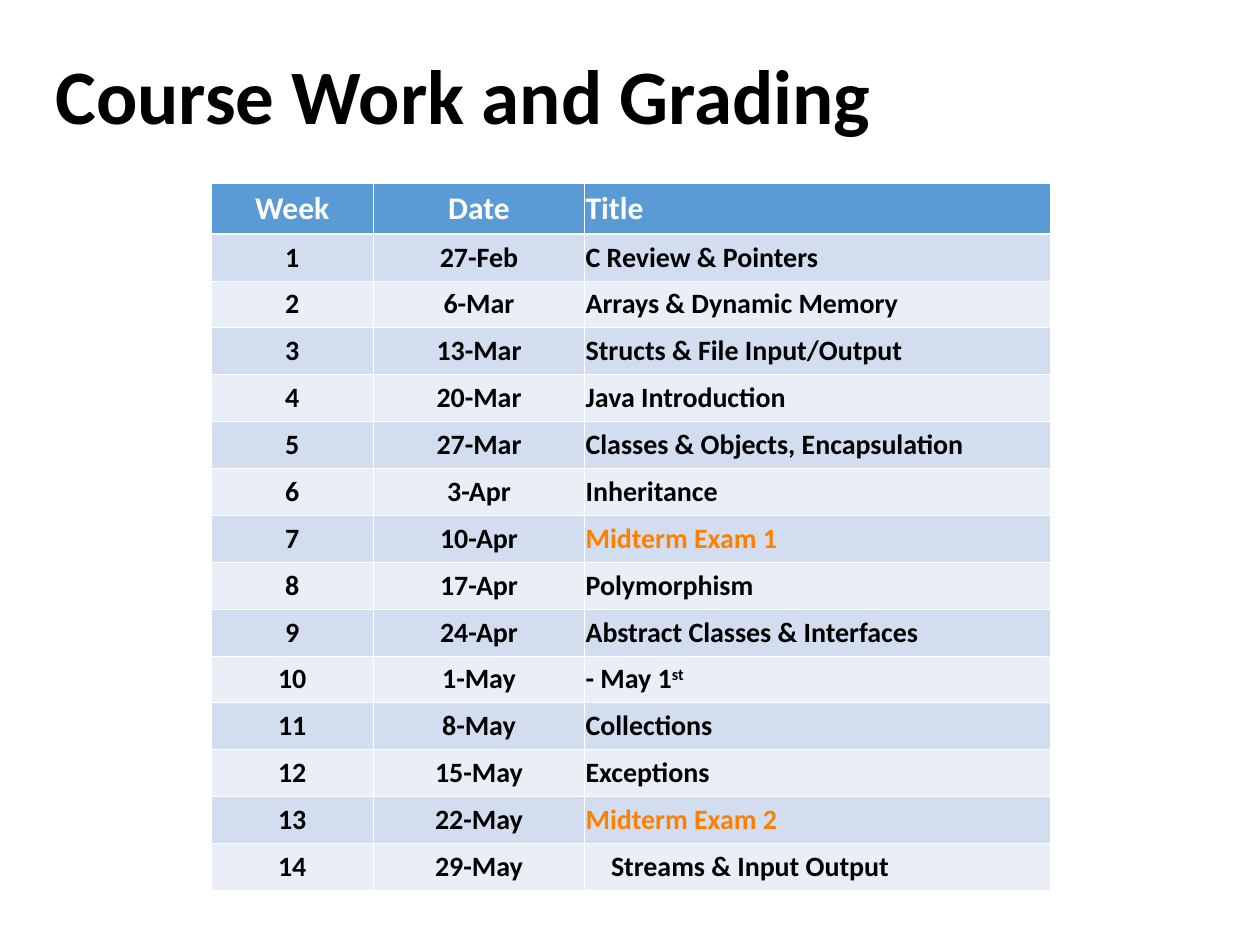
"""Builds the course schedule slide."""
from pptx import Presentation
from pptx.dml.color import RGBColor
from pptx.enum.text import MSO_ANCHOR, MSO_AUTO_SIZE, PP_ALIGN
from pptx.oxml.ns import qn
from pptx.util import Pt
from lxml import etree

LEFT, CENTER = PP_ALIGN.LEFT, PP_ALIGN.CENTER
MIDDLE, BOTTOM = MSO_ANCHOR.MIDDLE, MSO_ANCHOR.BOTTOM
NO_FIT = MSO_AUTO_SIZE.NONE

BLACK = RGBColor(0x00, 0x00, 0x00)
WHITE = RGBColor(0xFF, 0xFF, 0xFF)
ORANGE = RGBColor(0xFF, 0x80, 0x00)
HEADER = RGBColor(0x5B, 0x9B, 0xD5)
BANDS = (RGBColor(0xEA, 0xEF, 0xF7), RGBColor(0xD2, 0xDE, 0xEF))

COLUMNS = ("Week", "Date", "Title")
WIDTHS = (93, 120.5, 266.5)
HEADER_HEIGHT, ROW_HEIGHT = 24, 26.8
THIN, THICK = 0.45, 1.47
INDENT = 14.5

SCHEDULE = (
    ("27-Feb", "C Review & Pointers"),
    ("6-Mar", "Arrays & Dynamic Memory"),
    ("13-Mar", "Structs & File Input/Output"),
    ("20-Mar", "Java Introduction"),
    ("27-Mar", "Classes & Objects, Encapsulation"),
    ("3-Apr", "Inheritance"),
    ("10-Apr", "Midterm Exam 1"),
    ("17-Apr", "Polymorphism"),
    ("24-Apr", "Abstract Classes & Interfaces"),
    ("1-May", "- May 1^st"),
    ("8-May", "Collections"),
    ("15-May", "Exceptions"),
    ("22-May", "Midterm Exam 2"),
    ("29-May", "Streams & Input Output"),
)


class Deck:
    """Holds the text style and the current slide."""

    def __init__(self, slide, font="Calibri"):
        self.slide = slide
        self.font = font

    def run(self, p, text, size, color, superscript=False):
        r = p.add_run()
        r.text = text
        r.font.name = self.font
        r.font.size = Pt(size)
        r.font.bold = True
        r.font.color.rgb = color
        if superscript:
            r._r.get_or_add_rPr().set("baseline", "30000")

    def title(self, text, left, top, width, height):
        sp = self.slide.shapes.title
        sp.left, sp.top, sp.width, sp.height = map(Pt, (left, top, width, height))
        tf = sp.text_frame
        tf.auto_size = NO_FIT
        tf.vertical_anchor = MIDDLE
        p = tf.paragraphs[0]
        p.alignment = LEFT
        p.line_spacing = 0.9
        self.run(p, text, 44, BLACK)

    def borders(self, cell, top, bottom):
        tc_pr = cell._tc.get_or_add_tcPr()
        for side, width in (("L", THIN), ("R", THIN), ("T", top), ("B", bottom)):
            ln = etree.SubElement(tc_pr, qn(f"a:ln{side}"), w=str(Pt(width)))
            fill = etree.SubElement(ln, qn("a:solidFill"))
            etree.SubElement(fill, qn("a:srgbClr"), val=str(WHITE))

    def cell(self, cell, text, size, color, fill, align, anchor, indent=0):
        cell.margin_left, cell.margin_right = Pt(0.72 + indent), Pt(0.72)
        cell.margin_top = cell.margin_bottom = Pt(3.6)
        cell.vertical_anchor = anchor
        cell.fill.solid()
        cell.fill.fore_color.rgb = fill
        p = cell.text_frame.paragraphs[0]
        p.alignment = align
        base, _, suffix = text.partition("^")
        self.run(p, base, size, color)
        if suffix:
            self.run(p, suffix, size, color, superscript=True)

    def schedule(self, left, top):
        rows = [COLUMNS] + [(str(week), *row) for week, row in enumerate(SCHEDULE, 1)]
        heights = [HEADER_HEIGHT] + [ROW_HEIGHT] * len(SCHEDULE)
        table = self.slide.shapes.add_table(
            len(rows), len(COLUMNS), Pt(left), Pt(top), Pt(sum(WIDTHS)), Pt(sum(heights))
        ).table
        for column, width in zip(table.columns, WIDTHS):
            column.width = Pt(width)
        for i, (row, height) in enumerate(zip(rows, heights)):
            table.rows[i].height = Pt(height)
            for j, text in enumerate(row):
                cell = table.cell(i, j)
                align = LEFT if j == 2 else CENTER
                self.borders(cell, THICK if i == 1 else THIN, THICK if i == 0 else THIN)
                if i == 0:
                    self.cell(cell, text, 18, WHITE, HEADER, align, BOTTOM)
                    continue
                color = ORANGE if text.startswith("Midterm") else BLACK
                indent = INDENT if text.startswith("Streams") else 0
                self.cell(cell, text, 16, color, BANDS[i % 2], align, MIDDLE, indent)


def main():
    prs = Presentation()
    prs.slide_width, prs.slide_height = Pt(720), Pt(540)
    deck = Deck(prs.slides.add_slide(prs.slide_layouts[5]))
    deck.title("Course Work and Grading", 24.5, 28.8, 672.5, 56.2)
    deck.schedule(120.5, 104.5)
    prs.save("out.pptx")


if __name__ == "__main__":
    main()
